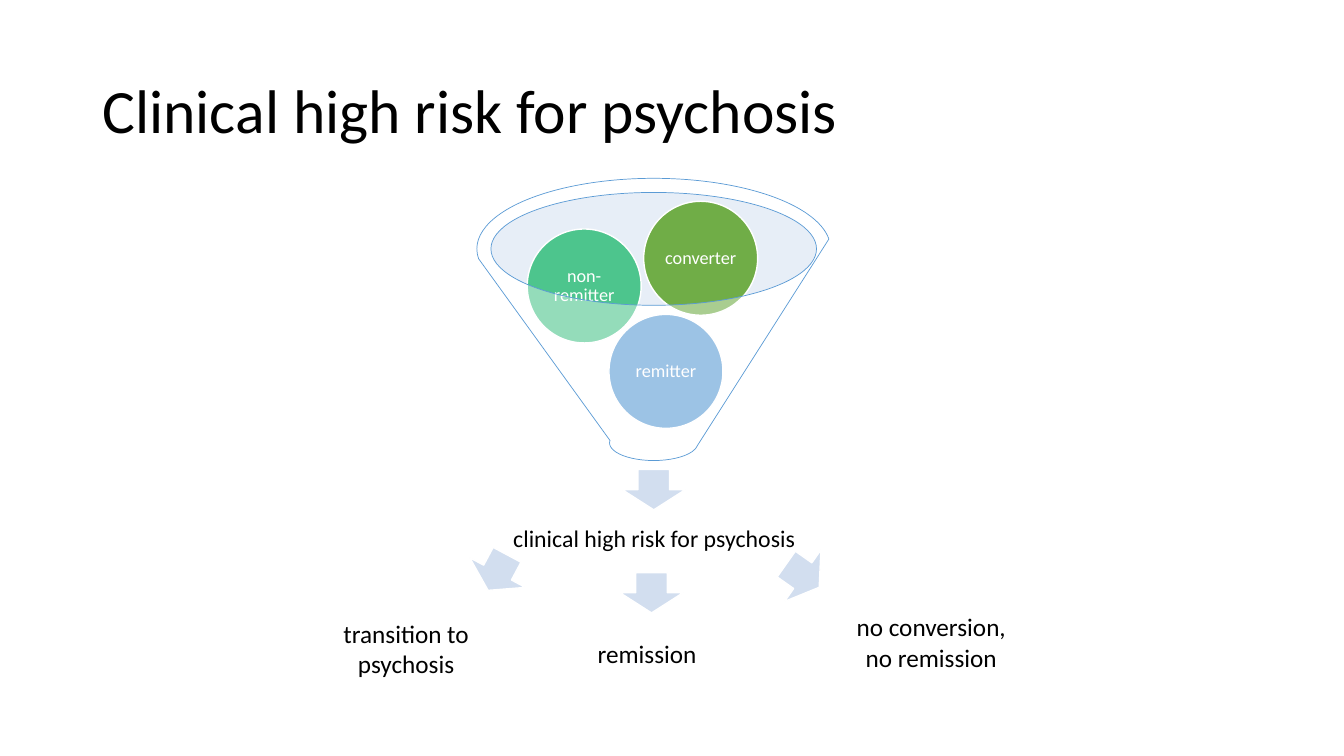
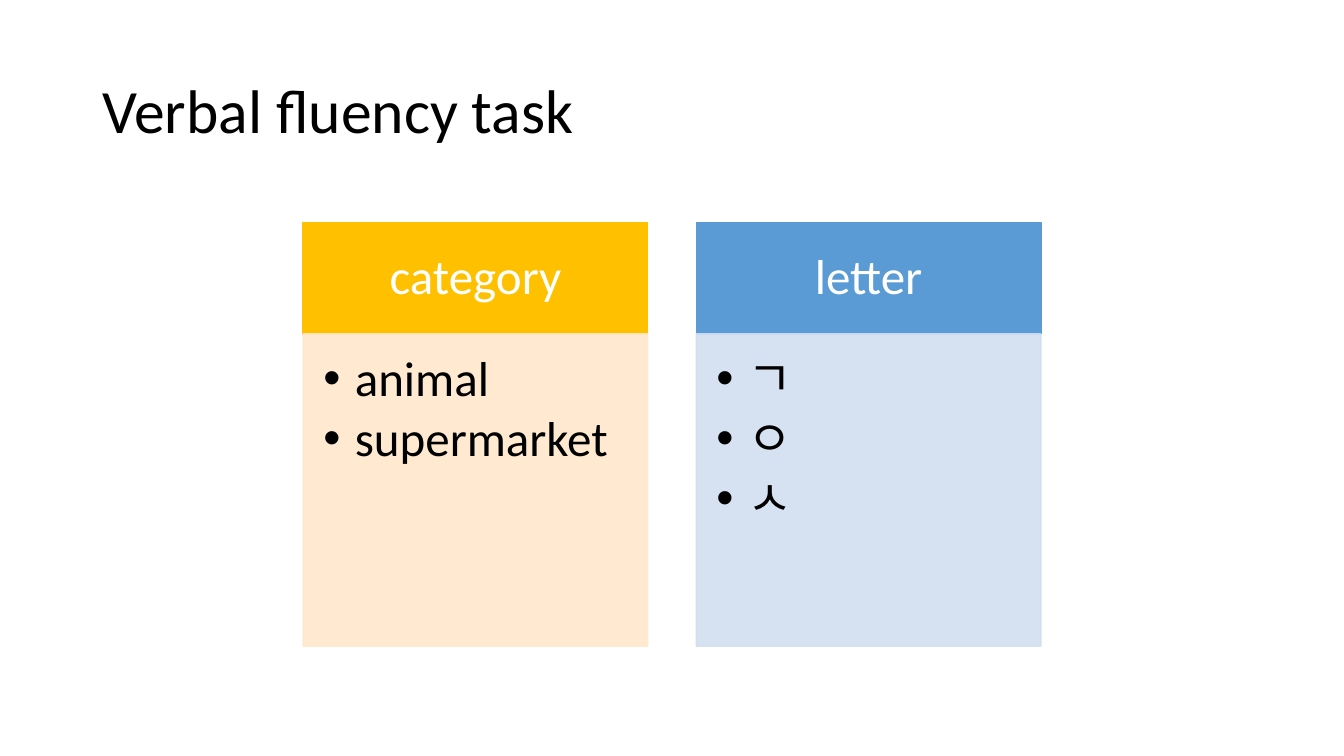
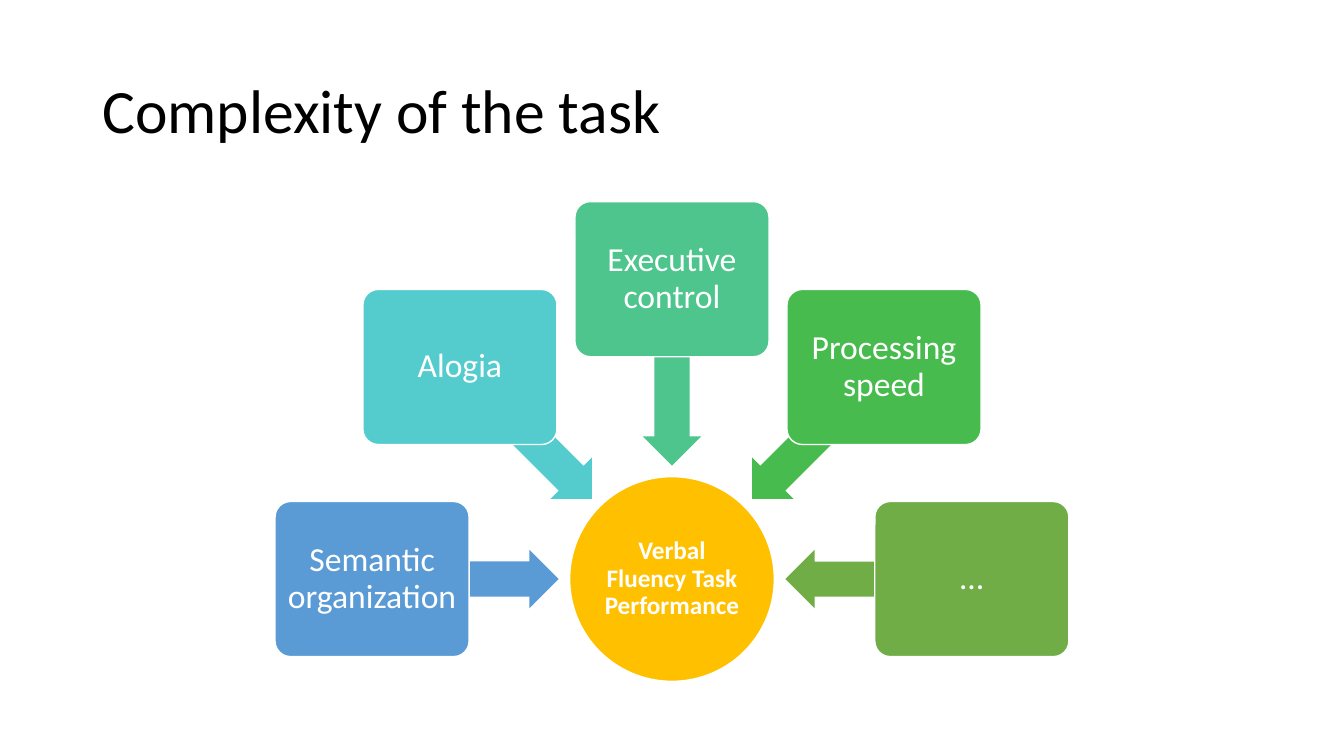
from dataclasses import dataclass
from math import cos, radians, sin

from lxml.etree import SubElement
from pptx import Presentation
from pptx.dml.color import RGBColor
from pptx.enum.shapes import MSO_SHAPE as Preset
from pptx.enum.text import MSO_ANCHOR as Anchor, MSO_AUTO_SIZE as AutoSize, PP_ALIGN as Align
from pptx.oxml.ns import qn
from pptx.util import Pt

FONT = "Calibri"
BLACK, WHITE = "000000", "FFFFFF"
BLUE, PALE_BLUE, GOLD = "5B9BD5", "D2DEEF", "FFC000"
MINT, OLIVE, TEAL, GREEN = "4DC58D", "70AD47", "54CCCD", "48BB4F"
SLIDE_WIDTH, SLIDE_HEIGHT = 960, 540


@dataclass(frozen=True)
class Area:
    left: float
    top: float
    width: float
    height: float

    @property
    def lengths(self) -> tuple:
        return Pt(self.left), Pt(self.top), Pt(self.width), Pt(self.height)


def centred(x: float, y: float, width: float, height: float) -> Area:
    return Area(x - width / 2, y - height / 2, width, height)


@dataclass(frozen=True)
class Look:
    fill: str
    line: str | None = WHITE
    line_width: float = 1
    opacity: int = 100
    line_opacity: int = 100


@dataclass(frozen=True)
class TextStyle:
    size: float
    color: str = WHITE
    bold: bool = False
    align: Align = Align.CENTER
    anchor: Anchor = Anchor.MIDDLE
    insets: tuple = (7.2, 3.6, 7.2, 3.6)
    line_spacing: float = 0.9
    space_before: float = 0
    bullet_indent: float = 0


@dataclass(frozen=True)
class Label:
    text: str
    area: Area
    align: Align = Align.CENTER


@dataclass(frozen=True)
class Ball:
    text: str
    left: float
    top: float
    color: str


@dataclass(frozen=True)
class Arrow:
    x: float
    y: float
    rotation: float = 0


@dataclass(frozen=True)
class Column:
    heading: str
    items: tuple
    color: str
    tint: str


@dataclass(frozen=True)
class Factor:
    text: str
    color: str


TITLE_AREA = Area(66, 28.8, 828, 104.4)
TITLE_STYLE = TextStyle(44, BLACK, align=Align.LEFT)

BALL_SIZE = 81.4
BALL_STYLE = TextStyle(13, insets=(1.5,) * 4)
BALLS = (
    Ball("remitter", 435, 224.6, BLUE),
    Ball("non-remitter", 376.6, 163.6, MINT),
    Ball("converter", 459.8, 143.8, OLIVE),
)
FUNNEL_ARROW = Arrow(467, 349.8)
OUTCOME_ARROWS = (
    Arrow(573.4, 411.2, 305.2),
    Arrow(465.4, 423.4),
    Arrow(355.4, 409, 28.1),
)
OUTCOMES = (
    Label("transition to psychosis", Area(224.6, 437.8, 131, 51)),
    Label("remission", Area(419.8, 452.2, 106.6, 29), Align.LEFT),
    Label("no conversion,\nno remission", Area(594.7, 433.4, 141, 51)),
)

COLUMN_WIDTH, COLUMN_GAP = 246.2, 34.6
COLUMN_TOP, HEADING_HEIGHT, BODY_HEIGHT = 159.1, 79.4, 223
HEADING_STYLE = TextStyle(35, insets=(19.4, 11.5, 19.4, 11.5))
ITEM_STYLE = TextStyle(35, BLACK, align=Align.LEFT, anchor=Anchor.TOP,
                       insets=(14.4, 14.4, 19.4, 22.3), space_before=5, bullet_indent=22.5)
COLUMNS = (
    Column("category", ("animal", "supermarket"), GOLD, "FFE8CC"),
    Column("letter", ("ㄱ", "ㅇ", "ㅅ"), BLUE, "D2DFF0"),
)

HUB_X, HUB_Y, HUB_SIZE = 480, 413.6, 146.2
HUB_STYLE = TextStyle(18, bold=True, insets=(0.7,) * 4)
FACTOR_STYLE = TextStyle(24, insets=(3.4,) * 4)
FACTOR_DISTANCE, ARROW_DISTANCE = 214.2, 147.6
FACTORS = (
    Factor("Semantic organization", BLUE),
    Factor("Alogia", TEAL),
    Factor("Executive control", MINT),
    Factor("Processing speed", GREEN),
    Factor("…", OLIVE),
)


def paint(fill, parent, color: str, opacity: int = 100) -> None:
    """Fill solidly; parent is the XML element that holds the fill."""
    fill.solid()
    fill.fore_color.rgb = RGBColor.from_string(color)
    if opacity < 100:
        color_element = parent.find(qn("a:solidFill"))[0]
        SubElement(color_element, qn("a:alpha"), val=str(opacity * 1000))


def add_bullet(paragraph, indent: float) -> None:
    properties = paragraph._p.get_or_add_pPr()
    properties.set("marL", str(Pt(indent)))
    properties.set("indent", str(-Pt(indent)))
    SubElement(properties, qn("a:buFont"), typeface="Arial")
    SubElement(properties, qn("a:buChar"), char="•")


def write(shape, text: str, style: TextStyle) -> None:
    frame = shape.text_frame
    frame.text = text
    frame.word_wrap = True
    frame.auto_size = AutoSize.NONE
    frame.vertical_anchor = style.anchor
    (frame.margin_left, frame.margin_top,
     frame.margin_right, frame.margin_bottom) = map(Pt, style.insets)
    for index, paragraph in enumerate(frame.paragraphs):
        paragraph.alignment = style.align
        paragraph.line_spacing = style.line_spacing
        paragraph.space_before = Pt(style.space_before if index else 0)
        if style.bullet_indent:
            add_bullet(paragraph, style.bullet_indent)
        font = paragraph.font
        font.name = FONT
        font.size = Pt(style.size)
        font.bold = style.bold
        font.color.rgb = RGBColor.from_string(style.color)


def add_text(slide, text: str, area: Area, style: TextStyle) -> None:
    write(slide.shapes.add_textbox(*area.lengths), text, style)


def add_figure(slide, preset: Preset, area: Area, look: Look, rotation: float = 0):
    shape = slide.shapes.add_shape(preset, *area.lengths)
    shape.shadow.inherit = False
    shape.rotation = rotation % 360
    paint(shape.fill, shape._element.spPr, look.fill, look.opacity)
    if look.line:
        paint(shape.line.fill, shape.get_or_add_ln(), look.line, look.line_opacity)
        shape.line.width = Pt(look.line_width)
    else:
        shape.line.fill.background()
    return shape


def add_titled_slide(deck, title: str):
    slide = deck.slides.add_slide(deck.slide_layouts[5])
    box = slide.shapes.title
    box.left, box.top, box.width, box.height = TITLE_AREA.lengths
    write(box, title, TITLE_STYLE)
    return slide


def add_down_arrow(slide, arrow: Arrow) -> None:
    add_figure(slide, Preset.DOWN_ARROW, centred(arrow.x, arrow.y, 45, 28.8),
               Look(PALE_BLUE), arrow.rotation)


def build_funnel_slide(deck) -> None:
    slide = add_titled_slide(deck, "Clinical high risk for psychosis")
    add_figure(slide, Preset.OVAL, Area(350.6, 137.5, 232.6, 80.6),
               Look("C4D5EB", line=None, opacity=40))
    add_down_arrow(slide, FUNNEL_ARROW)
    add_text(slide, "clinical high risk for psychosis", Area(356.4, 358.6, 221.8, 54),
             TextStyle(17, BLACK, insets=(9.4,) * 4))
    for ball in BALLS:
        circle = add_figure(slide, Preset.OVAL,
                            Area(ball.left, ball.top, BALL_SIZE, BALL_SIZE), Look(ball.color))
        write(circle, ball.text, BALL_STYLE)
    add_figure(slide, Preset.FUNNEL, Area(340.6, 127.4, 252.7, 201.6),
               Look(WHITE, BLUE, 0.5, opacity=40))
    for arrow in OUTCOME_ARROWS:
        add_down_arrow(slide, arrow)
    for outcome in OUTCOMES:
        add_text(slide, outcome.text, outcome.area,
                 TextStyle(18, BLACK, align=outcome.align, anchor=Anchor.TOP, line_spacing=1))


def build_columns_slide(deck) -> None:
    slide = add_titled_slide(deck, "Verbal fluency task")
    pitch = COLUMN_WIDTH + COLUMN_GAP
    first_left = (SLIDE_WIDTH - pitch * len(COLUMNS) + COLUMN_GAP) / 2
    for index, column in enumerate(COLUMNS):
        left = first_left + index * pitch
        heading = add_figure(slide, Preset.RECTANGLE,
                             Area(left, COLUMN_TOP, COLUMN_WIDTH, HEADING_HEIGHT),
                             Look(column.color, column.color))
        write(heading, column.heading, HEADING_STYLE)
        body = add_figure(slide, Preset.RECTANGLE,
                          Area(left, COLUMN_TOP + HEADING_HEIGHT, COLUMN_WIDTH, BODY_HEIGHT),
                          Look(column.tint, column.tint, opacity=90, line_opacity=90))
        write(body, "\n".join(column.items), ITEM_STYLE)


def around_hub(angle: float, distance: float, width: float, height: float) -> Area:
    """Area centred at a clockwise angle and distance from the hub."""
    turn = radians(angle)
    return centred(HUB_X + distance * cos(turn), HUB_Y + distance * sin(turn), width, height)


def build_factors_slide(deck) -> None:
    slide = add_titled_slide(deck, "Complexity of the task")
    hub = add_figure(slide, Preset.OVAL, centred(HUB_X, HUB_Y, HUB_SIZE, HUB_SIZE), Look(GOLD))
    write(hub, "Verbal Fluency Task Performance", HUB_STYLE)
    step = 180 / (len(FACTORS) - 1)
    for index, factor in enumerate(FACTORS):
        angle = 180 + index * step
        arrow = add_figure(slide, Preset.LEFT_ARROW,
                           around_hub(angle, ARROW_DISTANCE, 133.2, 41.8),
                           Look(factor.color, line=None), angle)
        arrow.adjustments[0], arrow.adjustments[1] = 0.6, 0.5
        box = add_figure(slide, Preset.ROUNDED_RECTANGLE,
                         around_hub(angle, FACTOR_DISTANCE, 138.6, 110.8), Look(factor.color))
        box.adjustments[0] = 0.1
        write(box, factor.text, FACTOR_STYLE)


def main() -> None:
    deck = Presentation()
    deck.slide_width, deck.slide_height = Pt(SLIDE_WIDTH), Pt(SLIDE_HEIGHT)
    build_funnel_slide(deck)
    build_columns_slide(deck)
    build_factors_slide(deck)
    deck.save("out.pptx")


if __name__ == "__main__":
    main()
